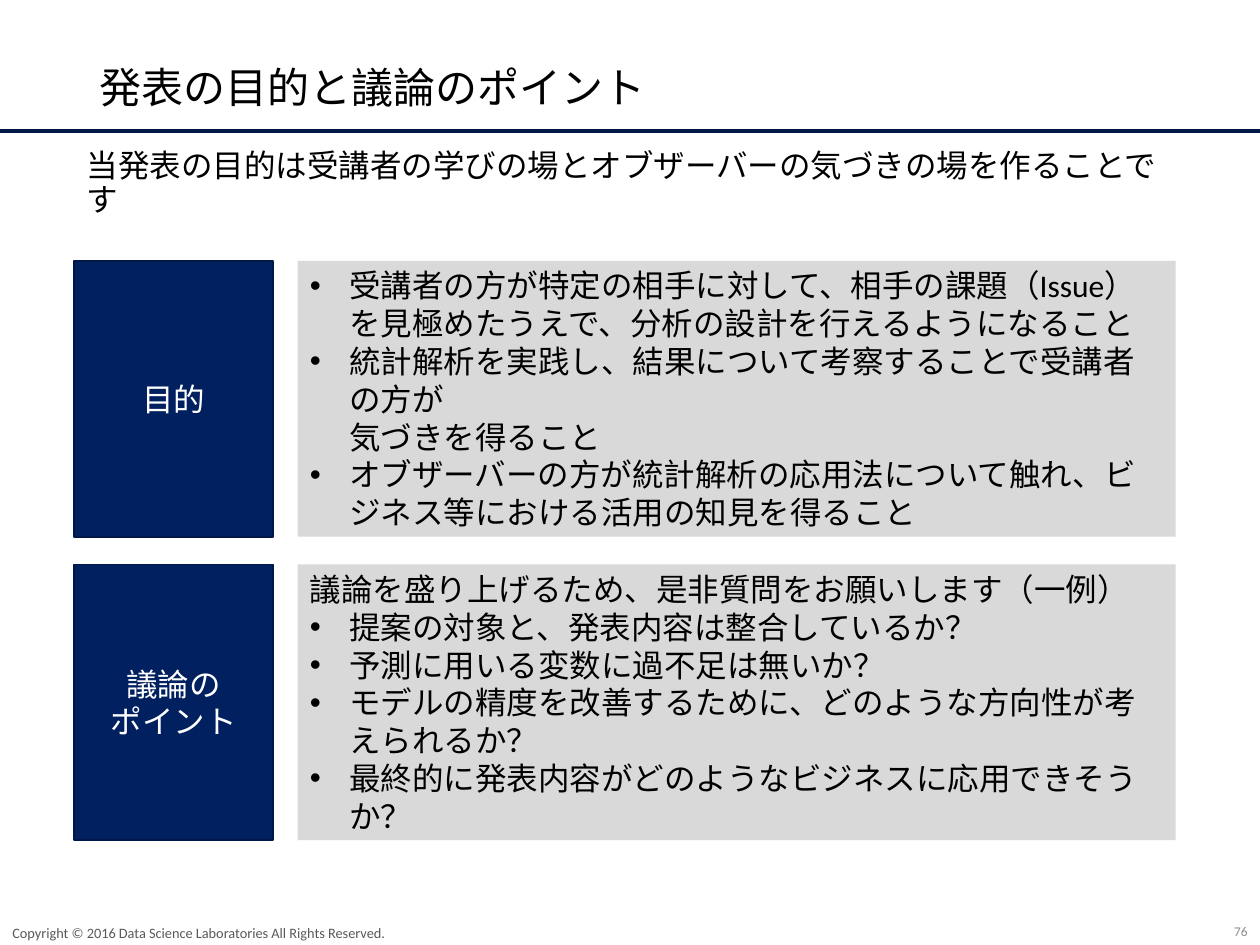
from lxml import etree
from pptx import Presentation
from pptx.dml.color import RGBColor
from pptx.enum.shapes import MSO_SHAPE
from pptx.enum.text import MSO_ANCHOR, MSO_AUTO_SIZE, PP_ALIGN
from pptx.oxml.ns import qn
from pptx.util import Cm, Pt

RECT = MSO_SHAPE.RECTANGLE
TOP, MID = MSO_ANCHOR.TOP, MSO_ANCHOR.MIDDLE
LEFT, MIDDLE, RIGHT = PP_ALIGN.LEFT, PP_ALIGN.CENTER, PP_ALIGN.RIGHT
FIXED = MSO_AUTO_SIZE.NONE

NAVY = RGBColor(0x00, 0x20, 0x60)
EDGE = RGBColor(0x00, 0x18, 0x47)
SLATE = RGBColor(0x44, 0x54, 0x6A)
PALE = RGBColor(0xD9, 0xD9, 0xD9)
GREY = RGBColor(0x8C, 0x8C, 0x8C)
DARK = RGBColor(0x59, 0x59, 0x59)
BLACK = RGBColor(0x00, 0x00, 0x00)
WHITE = RGBColor(0xFF, 0xFF, 0xFF)
LATIN, ASIAN = "Calibri", "Noto Sans CJK JP"


def write(shape, items, size, color, align=LEFT, anchor=MID, face=LATIN, space=1.0):
    frame = shape.text_frame
    frame.word_wrap = True
    frame.auto_size = FIXED
    frame.vertical_anchor = anchor
    for i, item in enumerate(items):
        para = frame.add_paragraph() if i else frame.paragraphs[0]
        para.alignment = align
        para.line_spacing = space
        if item.startswith("•"):
            props = para._p.get_or_add_pPr()
            props.set("marL", str(Cm(0.79)))
            props.set("indent", str(-Cm(0.79)))
            etree.SubElement(props, qn("a:buFont"), typeface="Arial")
            etree.SubElement(props, qn("a:buChar"), char="•")
        for j, line in enumerate(item.lstrip("•").split("\n")):
            if j:
                para.add_line_break()
            run = para.add_run()
            run.text = line
            run.font.size = Pt(size)
            run.font.color.rgb = color
            run.font.name = face
            etree.SubElement(run._r.get_or_add_rPr(), qn("a:ea"), typeface=ASIAN)


def block(left, top, width, height, fill, edge=None):
    shape = slide.shapes.add_shape(RECT, Cm(left), Cm(top), Cm(width), Cm(height))
    shape.shadow.inherit = False
    shape.fill.solid()
    shape.fill.fore_color.rgb = fill
    if edge:
        shape.line.color.rgb = edge
        shape.line.width = Pt(1)
    else:
        shape.line.fill.background()
    return shape


deck = Presentation()
deck.slide_width, deck.slide_height = Cm(25.4), Cm(19.05)
slide = deck.slides.add_slide(deck.slide_layouts[5])

block(0, 2.62, 25.4, 0.05, SLATE, EDGE)

title = slide.shapes.title
title.left, title.top, title.width, title.height = Cm(1.75), Cm(1.02), Cm(21.9), Cm(1.6)
write(title, ["発表の目的と議論のポイント"], 24, BLACK, face=ASIAN, space=0.9)

lead = slide.shapes.add_textbox(Cm(1.5), Cm(2.9), Cm(22.17), Cm(1.93))
write(lead, ["当発表の目的は受講者の学びの場とオブザーバーの気づきの場を作ることです"],
      18, BLACK, anchor=TOP, face=ASIAN, space=0.9)

rows = [
    ("目的", [
        "•受講者の方が特定の相手に対して、相手の課題（Issue）を見極めたうえで、分析の設計を行えるようになること",
        "•統計解析を実践し、結果について考察することで受講者の方が\n気づきを得ること",
        "•オブザーバーの方が統計解析の応用法について触れ、ビジネス等における活用の知見を得ること",
    ]),
    ("議論の\nポイント", [
        "議論を盛り上げるため、是非質問をお願いします（一例）",
        "•提案の対象と、発表内容は整合しているか？",
        "•予測に用いる変数に過不足は無いか？",
        "•モデルの精度を改善するために、どのような方向性が考えられるか？",
        "•最終的に発表内容がどのようなビジネスに応用できそうか？",
    ]),
]
for i, (label, points) in enumerate(rows):
    top = 5.26 + 6.12 * i
    write(block(1.5, top, 4, 5.56, NAVY, EDGE), [label], 18, WHITE, MIDDLE)
    write(block(6, top, 17.7, 5.56, PALE), points, 18, BLACK)

notes = [
    (0, 18.54, 15.85, "Copyright © 2016 Data Science Laboratories All Rights Reserved.", 8.2, DARK, LEFT),
    (19.69, 18.52, 5.71, "76", 7.6, GREY, RIGHT),
]
for left, top, width, text, size, color, align in notes:
    box = slide.shapes.add_textbox(Cm(left), Cm(top), Cm(width), Cm(0.52))
    box.text_frame.margin_top = box.text_frame.margin_bottom = 0
    write(box, [text], size, color, align)

deck.save("out.pptx")
